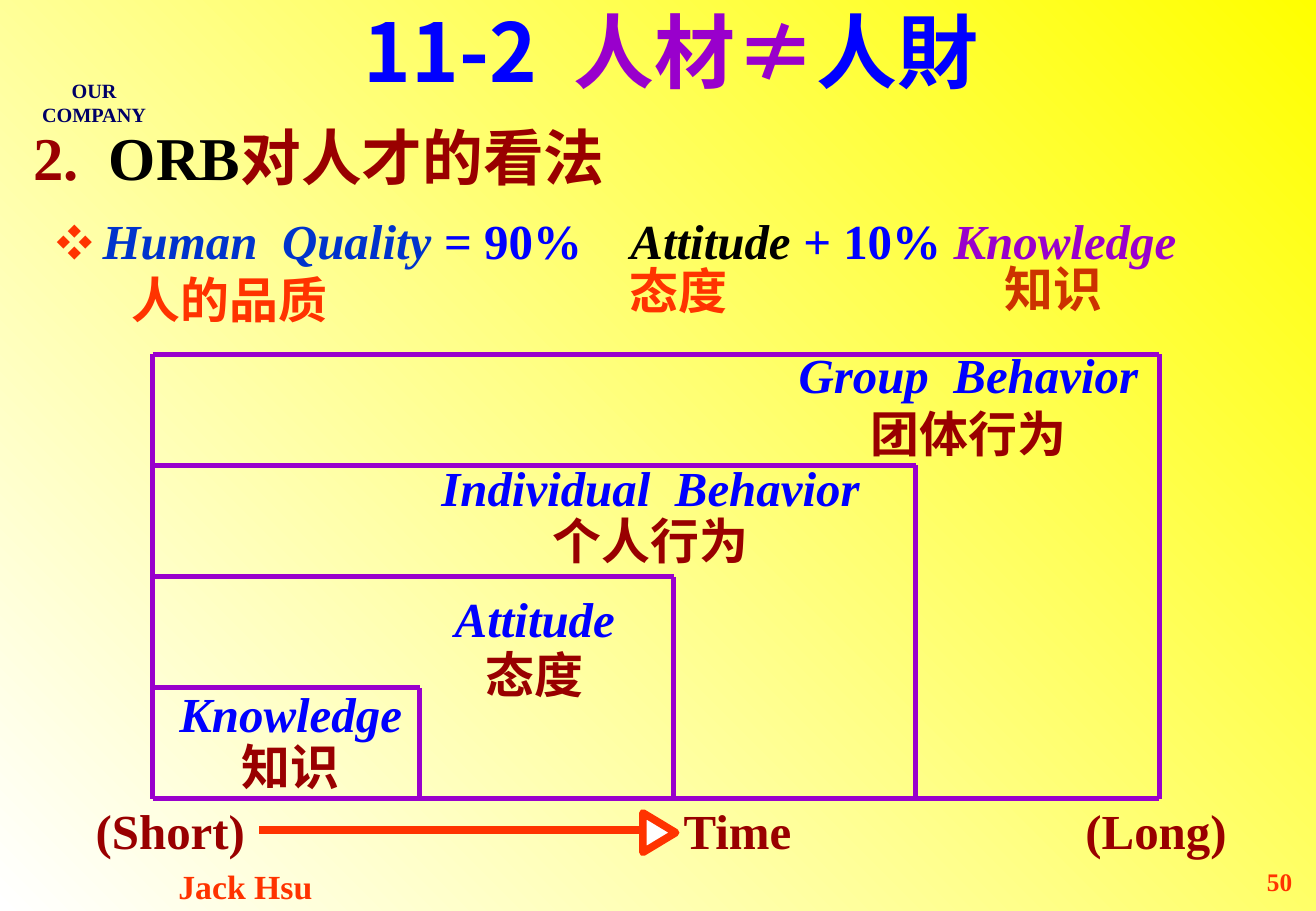
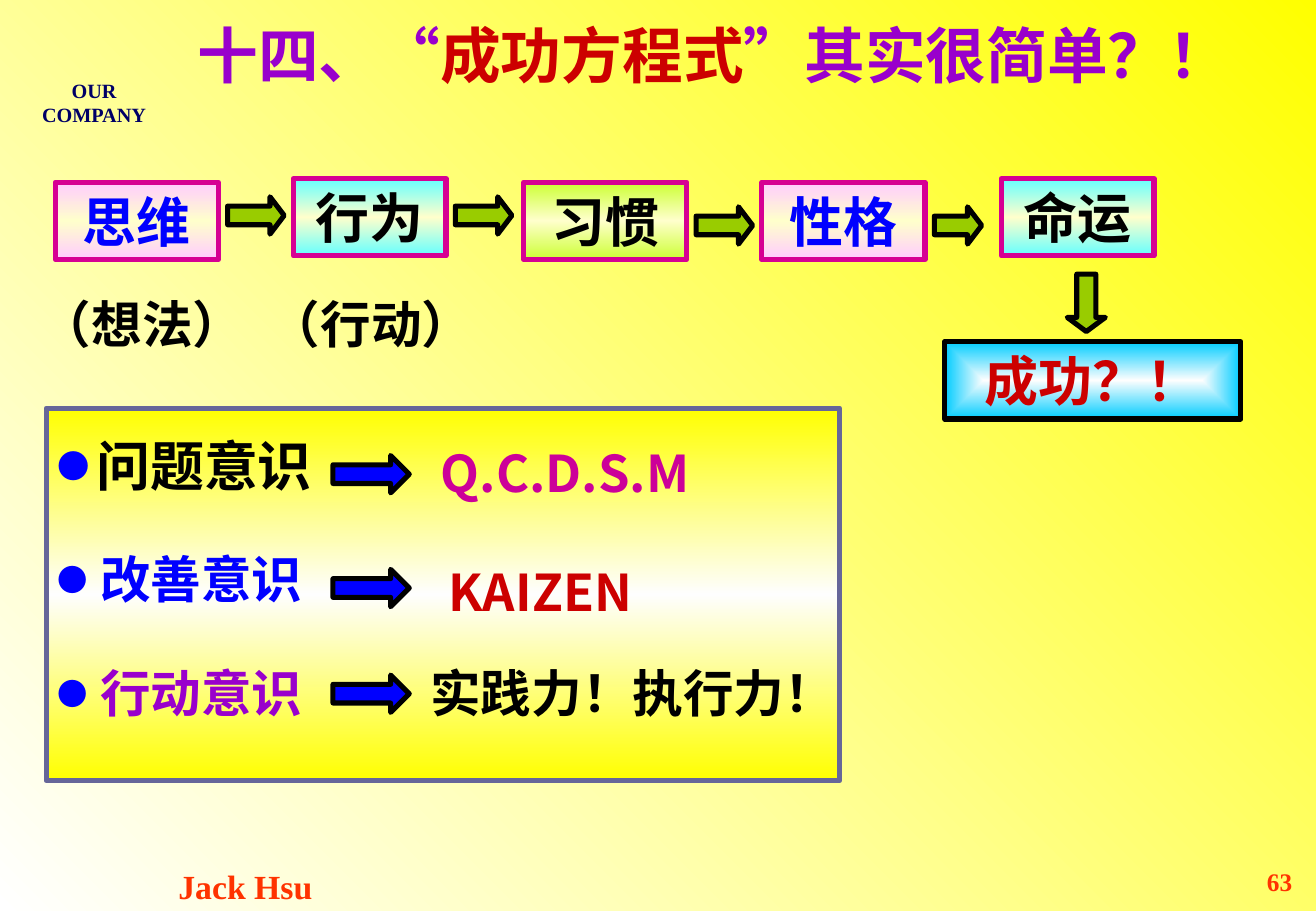
from dataclasses import dataclass, field
from typing import NamedTuple

import pptx
import pptx.dml.color
import pptx.enum.shapes
import pptx.enum.text
import pptx.oxml
import pptx.oxml.ns
import pptx.util

WIDTH, HEIGHT = 10.84, 7.5
COLUMNS = ROWS = 100  # every length below counts cells of this grid
SERIF, SANS = "Times New Roman", "Noto Sans CJK SC"

C = {
    "yellow": "FFFF00", "white": "FFFFFF", "pearl": "FEFEFE", "cream": "FFFFCC",
    "black": "000000", "navy": "000066", "blue": "0000FF", "royal": "0033CC",
    "purple": "9900CC", "maroon": "990000", "red": "CC0000", "rust": "CC3300",
    "orange": "FF3300", "magenta": "CC0099", "pink": "D60093", "rose": "FFCCFF",
    "aqua": "66FFFF", "lime": "CCFF33", "green": "99CC00", "sky": "00CCFF",
    "slate": "666699",
}
MSO = pptx.enum.shapes.MSO_SHAPE
ALIGN = pptx.enum.text.PP_ALIGN
ANCHOR = pptx.enum.text.MSO_ANCHOR
qn = pptx.oxml.ns.qn


class Box(NamedTuple):
    x: float
    y: float
    w: float
    h: float


class Run(NamedTuple):
    text: str
    color: str
    italic: bool = False


class Bullet(NamedTuple):
    char: str
    color: str
    percent: int
    indent: float


@dataclass
class Label:
    box: Box
    lines: list[list[Run]]
    size: float = 29
    font: str = SERIF
    frame: dict = field(default_factory=dict)
    para: dict = field(default_factory=dict)
    bullet: Bullet | None = None
    shadow: bool = False


class Step(NamedTuple):
    right: float
    name: str
    chinese: str
    box: Box
    spacing: float


class Stage(NamedTuple):
    x: float
    y: float
    w: float
    text: str
    color: str
    tint: str
    arrow_y: float = 0
    arrow_w: float = 0


class Habit(NamedTuple):
    y: float
    text: str
    color: str
    size: int
    indent: float
    arrow_y: float
    result: Label


CENTER = {"alignment": ALIGN.CENTER}
MIDDLE = {"vertical_anchor": ANCHOR.MIDDLE}


def col(n: float) -> int:
    return pptx.util.Inches(n * WIDTH / COLUMNS)


def row(n: float) -> int:
    return pptx.util.Inches(n * HEIGHT / ROWS)


def place(b: Box) -> tuple[int, int, int, int]:
    return col(b.x), row(b.y), col(b.w), row(b.h)


def rgb(name: str) -> pptx.dml.color.RGBColor:
    return pptx.dml.color.RGBColor.from_string(C[name])


def a_xml(tag: str, inner: str = "", **attrs):
    text = "".join(f' {k}="{v}"' for k, v in attrs.items())
    return pptx.oxml.parse_xml(
        f'<a:{tag} {pptx.oxml.ns.nsdecls("a")}{text}>{inner}</a:{tag}>')


def set_gradient(fill, owner, names: list[str], angle: int | None) -> None:
    """Spread the colours evenly; no angle means from the centre to the edges."""
    fill.gradient()
    grad = owner.find(".//" + qn("a:gradFill"))
    for child in list(grad):
        grad.remove(child)
    last = len(names) - 1
    stops = "".join(
        f'<a:gs pos="{i * 100000 // last}"><a:srgbClr val="{C[n]}"/></a:gs>'
        for i, n in enumerate(names))
    grad.append(a_xml("gsLst", stops))
    if angle is None:
        middle = '<a:fillToRect l="50000" t="50000" r="50000" b="50000"/>'
        grad.append(a_xml("path", middle, path="rect"))
    else:
        grad.append(a_xml("lin", ang=angle * 60000, scaled=0))


def add_bullet(p, b: Bullet) -> None:
    pPr = p._p.get_or_add_pPr()
    indent = col(b.indent)
    pPr.set("marL", str(indent))
    pPr.set("indent", str(-indent))
    pPr.append(a_xml("buClr", f'<a:srgbClr val="{C[b.color]}"/>'))
    pPr.append(a_xml("buSzPct", val=b.percent * 1000))
    pPr.append(a_xml("buFont", typeface=SANS))
    pPr.append(a_xml("buChar", char=b.char))


def write(sp, label: Label) -> None:
    tf = sp.text_frame
    for k, v in ({"word_wrap": True, "vertical_anchor": ANCHOR.TOP} | label.frame).items():
        setattr(tf, k, v)
    for i, runs in enumerate(label.lines):
        p = tf.add_paragraph() if i else tf.paragraphs[0]
        for k, v in label.para.items():
            setattr(p, k, v)
        if label.bullet:
            add_bullet(p, label.bullet)
        for run in runs:
            r = p.add_run()
            r.text = run.text
            fmt = {"size": pptx.util.Pt(label.size), "name": label.font,
                   "bold": True, "italic": run.italic}
            for k, v in fmt.items():
                setattr(r.font, k, v)
            r.font.color.rgb = rgb(run.color)
            rPr = r.font._element
            rPr.find(qn("a:latin")).addnext(a_xml("ea", typeface=SANS))
            if label.shadow:
                dark = f'<a:srgbClr val="{C["black"]}"/>'
                shade = f'<a:outerShdw dist="25400" dir="2700000">{dark}</a:outerShdw>'
                rPr.find(qn("a:solidFill")).addnext(a_xml("effectLst", shade))


def add_label(slide, label: Label) -> None:
    write(slide.shapes.add_textbox(*place(label.box)), label)


def add_outlined(slide, kind, box: Box, line: str, fill: str | list[str],
                 angle: int | None = 90, width: float = 3):
    sp = slide.shapes.add_shape(kind, *place(box))
    sp.shadow.inherit = False
    if isinstance(fill, str):
        sp.fill.solid()
        sp.fill.fore_color.rgb = rgb(fill)
    else:
        set_gradient(sp.fill, sp._element.spPr, fill, angle)
    sp.line.color.rgb = rgb(line)
    sp.line.width = pptx.util.Pt(width)
    return sp


def add_block_arrow(slide, box: Box, fill: str, head: float, kind=MSO.RIGHT_ARROW) -> None:
    sp = add_outlined(slide, kind, box, "black", fill)
    sp.adjustments[0], sp.adjustments[1] = 0.5, head


def add_line(slide, x1: float, y1: float, x2: float, y2: float,
             color: str = "purple", width: float = 3) -> None:
    cx = slide.shapes.add_connector(
        pptx.enum.shapes.MSO_CONNECTOR.STRAIGHT, col(x1), row(y1), col(x2), row(y2))
    cx.line.color.rgb = rgb(color)
    cx.line.width = pptx.util.Pt(width)
    cx._element.spPr.append(a_xml("effectLst"))


def new_slide(prs, title: Label, number: int):
    """A blank slide with the title, banner name, footer and page number."""
    slide = prs.slides.add_slide(prs.slide_layouts[6])
    title.frame = MIDDLE
    for label in (
        title,
        Label(Box(0.6, 7.9, 13.1, 4), [[Run("OUR COMPANY", "navy")]], 12,
              frame={"word_wrap": False}, para=CENTER),
        Label(Box(9.2, 94.4, 18.9, 6), [[Run("Jack Hsu", "orange")]], 20, para=CENTER),
        Label(Box(86.6, 94.4, 12.5, 5.6), [[Run(str(number), "orange")]], 15,
              para={"alignment": ALIGN.RIGHT}),
    ):
        add_label(slide, label)
    return slide


# Nested areas of the behaviour chart, innermost first
STEPS = [
    Step(31.9, "Knowledge", "知识", Box(11.6, 75.1, 21, 13.1), 0.9),
    Step(51.2, "Attitude", "态度", Box(29.2, 64.4, 22.9, 13.6), 0.95),
    Step(69.6, "Individual  Behavior", "个人行为", Box(28.3, 50.3, 42.3, 13.1), 0.9),
    Step(88.1, "Group  Behavior", "团体行为", Box(55.6, 37.2, 36, 14.3), 1.0),
]
AXIS_LEFT, AXIS_BASE, STEP_RISE = 11.6, 87.7, 12.2


def build_talent(prs) -> None:
    title = Label(Box(8.5, 0, 85, 11.1), [[
        Run("11-2  ", "blue"), Run("人材≠", "purple"), Run("人財", "blue")]],
        48, SANS, para=CENTER)
    slide = new_slide(prs, title, 50)

    # Heading, formula and its glosses
    for label in (
        Label(Box(1.6, 12.5, 62.9, 9.3), [[
            Run("2.  ", "maroon"), Run("ORB", "black"), Run("对人才的看法", "maroon")]], 36),
        Label(Box(3.4, 22.5, 45, 6.7), [[
            Run("Human  Quality", "royal", True), Run(" = 90%", "blue")]],
            bullet=Bullet("❖", "orange", 75, 3.5)),
        Label(Box(47, 22.5, 52, 6.7), [[
            Run("Attitude ", "black", True), Run("+ 10% ", "blue"),
            Run("Knowledge", "purple", True)]]),
        Label(Box(9.1, 28.9, 20.8, 8), [[Run("人的品质", "orange")]]),
        Label(Box(46.9, 28, 14.9, 8), [[Run("态度", "orange")]]),
        Label(Box(75.4, 27.7, 15, 8), [[Run("知识", "rust")]]),
    ):
        add_label(slide, label)

    # Chart: shared base and left side, then a top and a right side per step
    for i, step in enumerate(STEPS, 1):
        top = AXIS_BASE - i * STEP_RISE
        add_line(slide, AXIS_LEFT, top, step.right, top)
        add_line(slide, step.right, top, step.right, AXIS_BASE)
        add_label(slide, Label(
            step.box, [[Run(step.name, "blue", True)], [Run(step.chinese, "maroon")]],
            para=CENTER | {"line_spacing": step.spacing}))
    add_line(slide, AXIS_LEFT, AXIS_BASE, STEPS[-1].right, AXIS_BASE)
    add_line(slide, AXIS_LEFT, AXIS_BASE, AXIS_LEFT, top)

    # Time axis
    for x, text in ((1.5, "(Short)"), (44.6, "Time"), (76.4, "(Long)")):
        add_label(slide, Label(Box(x, AXIS_BASE, 22.9, 7.5), [[Run(text, "maroon")]],
                               para=CENTER | {"line_spacing": 0.95}))
    add_line(slide, 19.7, 91.1, 48.9, 91.1, "orange", 4.5)
    tip = add_outlined(slide, MSO.ISOSCELES_TRIANGLE, Box(48.6, 89.6, 3, 3.6),
                       "orange", "white", width=4.5)
    tip.rotation = 90


STAGES = [
    Stage(4.2, 20, 12.4, "思维", "blue", "rose", 21.6, 4.3),
    Stage(22.3, 19.6, 11.6, "行为", "black", "aqua", 21.6, 4.3),
    Stage(39.8, 20, 12.4, "习惯", "black", "lime", 22.7, 4.3),
    Stage(57.9, 20, 12.4, "性格", "blue", "rose", 22.7, 3.6),
    Stage(76.1, 19.6, 11.6, "命运", "black", "aqua"),
]
STAGE_H, ARROW_GAP, ARROW_H = 8.5, 0.7, 4.1
HABITS = [
    Habit(46.8, "问题意识", "black", 32, 2.9, 50, Label(
        Box(32.6, 47.9, 26.8, 8), [[Run("Q.C.D.S.M", "magenta")]], 30, SANS)),
    Habit(59.5, "改善意识", "blue", 30, 3.2, 62.5, Label(
        Box(33.2, 60.9, 26.8, 8), [[Run("KAIZEN", "red")]], 30, SANS)),
    Habit(72, "行动意识", "purple", 30, 3.2, 74.1, Label(
        Box(31.8, 72, 35.6, 8), [[Run("实践力！执行力！", "black")]], 30)),
]


def build_success(prs) -> None:
    title = Label(Box(14.1, 0.7, 85.9, 10.5), [[
        Run("十四、“", "purple"), Run("成功方程式", "red"),
        Run("”其实很简单？！", "purple")]], 36, shadow=True)
    slide = new_slide(prs, title, 63)

    # Chain of stages
    for s in STAGES:
        box = Box(s.x, s.y, s.w, STAGE_H)
        sp = add_outlined(slide, MSO.RECTANGLE, box, "pink", [s.tint, "cream", s.tint])
        write(sp, Label(box, [[Run(s.text, s.color)]], 32, frame=MIDDLE, para=CENTER))
        if s.arrow_w:
            add_block_arrow(slide, Box(s.x + s.w + ARROW_GAP, s.arrow_y, s.arrow_w, ARROW_H),
                            "green", 0.38)
    for x, text in ((2.2, "（想法）"), (19.6, "（行动）")):
        add_label(slide, Label(Box(x, 31.5, 17.2, 8), [[Run(text, "black")]], 30,
                               frame=MIDDLE | {"word_wrap": False}, para=CENTER))

    # Outcome
    add_block_arrow(slide, Box(81.1, 30.1, 2.9, 6.3), "green", 0.37, MSO.DOWN_ARROW)
    box = Box(71.8, 37.5, 22.5, STAGE_H)
    sp = add_outlined(slide, MSO.RECTANGLE, box, "black", ["pearl", "sky"], None)
    write(sp, Label(box, [[Run("成功？！", "red")]], 32, frame=MIDDLE, para=CENTER))

    # Panel of habits of mind
    add_outlined(slide, MSO.RECTANGLE, Box(3.5, 44.8, 60.3, 40.9), "slate",
                 ["yellow", "pearl", "yellow"])
    for h in HABITS:
        add_label(slide, Label(Box(3.5, h.y, 27, 8), [[Run(h.text, h.color)]], h.size,
                               bullet=Bullet("●", "blue", 60, h.indent)))
        add_block_arrow(slide, Box(25.3, h.arrow_y, 5.8, ARROW_H), "blue", 0.5)
        add_label(slide, h.result)


def main() -> None:
    prs = pptx.Presentation()
    prs.slide_width, prs.slide_height = col(COLUMNS), row(ROWS)
    master = prs.slide_master
    set_gradient(master.background.fill, master._element, ["yellow", "white"], 135)
    build_talent(prs)
    build_success(prs)
    prs.save("out.pptx")


if __name__ == "__main__":
    main()
